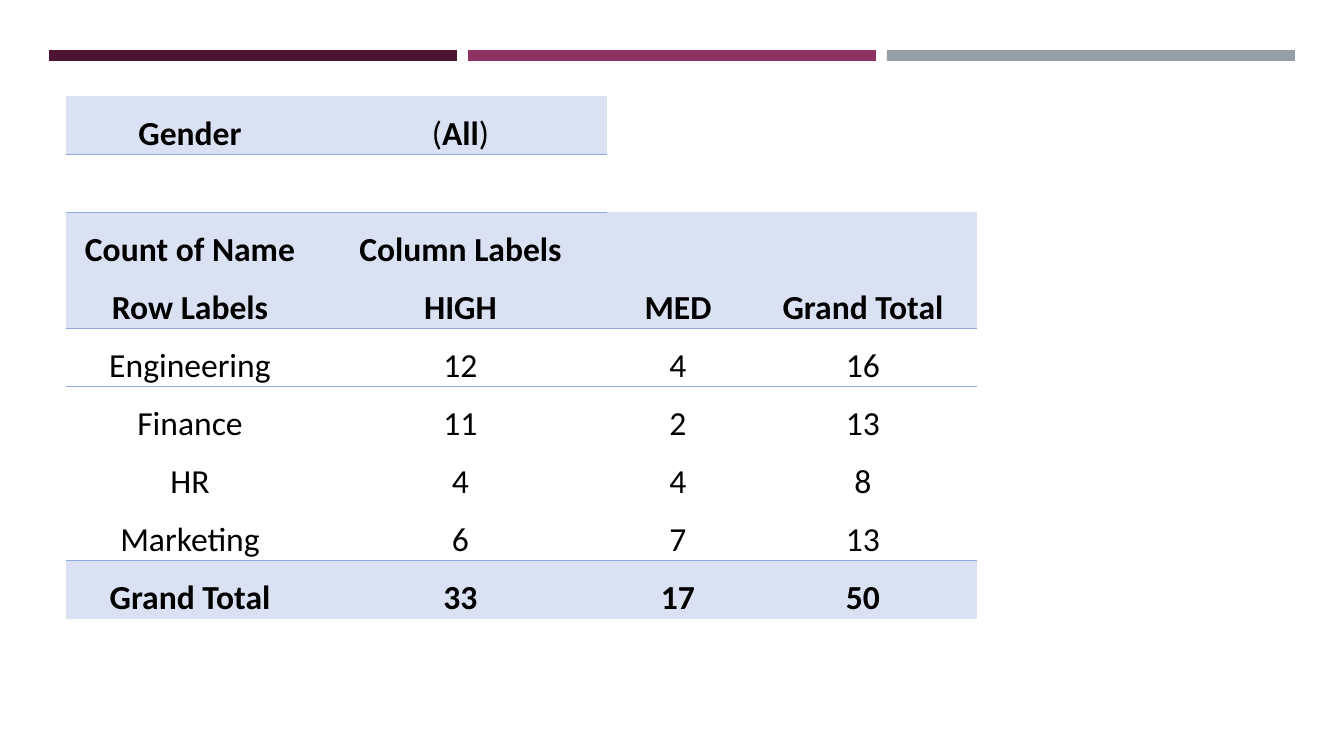
from lxml import etree
from pptx import Presentation
from pptx.dml.color import RGBColor
from pptx.enum.shapes import MSO_SHAPE
from pptx.enum.text import MSO_ANCHOR, PP_ALIGN
from pptx.oxml.ns import qn
from pptx.util import Emu, Inches, Pt

RECT = MSO_SHAPE.RECTANGLE
CENTER = PP_ALIGN.CENTER
BOTTOM = MSO_ANCHOR.BOTTOM

EMU_PER_PX = 914400 / 100.8
NO_STYLE = "{2D5ABB26-0587-4C30-8999-92F81FD0307C}"
FONT = "Calibri"
BLACK, SHADE, RULE = "000000", "D9E1F2", "8EA9DB"

BAR_COLORS = ["4D1434", "903163", "969FA7"]
COLUMN_WIDTHS = [248, 293, 142, 228]
PIVOT_ROWS = [
    ["Gender", ("(", "All", ")")],
    [],
    ["Count of Name", "Column Labels"],
    ["Row Labels", "HIGH", "MED", "Grand Total"],
    ["Engineering", "12", "4", "16"],
    ["Finance", "11", "2", "13"],
    ["HR", "4", "4", "8"],
    ["Marketing", "6", "7", "13"],
    ["Grand Total", "33", "17", "50"],
]
# Number of shaded, bold cells in each heading or total row
SHADED_CELLS = {0: 2, 2: 4, 3: 4, 8: 4}
# Number of cells above each horizontal rule, by the row it closes
RULED_CELLS = {0: 2, 3: 4, 7: 4}


def px(n):
    return Emu(round(n * EMU_PER_PX))


def rgb(color):
    return RGBColor.from_string(color)


def add_bar(slide, left, top, width, height, color):
    sp = slide.shapes.add_shape(RECT, px(left), px(top), px(width), px(height))
    sp.shadow.inherit = False
    sp.fill.solid()
    sp.fill.fore_color.rgb = rgb(color)
    sp.line.fill.background()


def add_border(cell, side):
    """Draw a thin rule on one side of a cell: lnT or lnB."""
    ln = etree.Element(qn(f"a:{side}"), w=str(Pt(0.5)))
    fill = etree.SubElement(ln, qn("a:solidFill"))
    etree.SubElement(fill, qn("a:srgbClr"), val=RULE)
    cell._tc.get_or_add_tcPr().insert(0, ln)


def write_cell(cell, content, bold):
    """Write a string, or a tuple of runs whose brackets stay regular."""
    cell.vertical_anchor = BOTTOM
    cell.margin_left = cell.margin_right = cell.margin_top = Inches(0.01)
    cell.margin_bottom = 0
    p = cell.text_frame.paragraphs[0]
    p.alignment = CENTER
    runs = (content,) if isinstance(content, str) else content
    for text in runs:
        r = p.add_run()
        r.text = text
        r.font.name = FONT
        r.font.size = Pt(24)
        r.font.bold = bold and text not in ("(", ")")
        r.font.color.rgb = rgb(BLACK)


def add_pivot_table(slide, left, top, height):
    rows, cols = len(PIVOT_ROWS), len(COLUMN_WIDTHS)
    frame = slide.shapes.add_table(rows, cols, px(left), px(top),
                                   px(sum(COLUMN_WIDTHS)), px(height))
    table = frame.table
    table.first_row = table.horz_banding = False
    table._tbl.tblPr.find(qn("a:tableStyleId")).text = NO_STYLE
    for column, width in zip(table.columns, COLUMN_WIDTHS):
        column.width = px(width)

    for i, contents in enumerate(PIVOT_ROWS):
        for j in range(cols):
            cell = table.cell(i, j)
            shaded = j < SHADED_CELLS.get(i, 0)
            if shaded:
                cell.fill.solid()
                cell.fill.fore_color.rgb = rgb(SHADE)
            else:
                cell.fill.background()
            if j < len(contents):
                write_cell(cell, contents[j], shaded)

    for i, count in RULED_CELLS.items():
        for j in range(count):
            add_border(table.cell(i, j), "lnB")
            add_border(table.cell(i + 1, j), "lnT")


def main():
    prs = Presentation()
    prs.slide_width, prs.slide_height = px(1344), px(756)
    slide = prs.slides.add_slide(prs.slide_layouts[6])
    for i, color in enumerate(BAR_COLORS):
        add_bar(slide, 49 + 419 * i, 50, 408, 11, color)
    add_pivot_table(slide, 66, 96, 523)
    prs.save("out.pptx")


if __name__ == "__main__":
    main()
